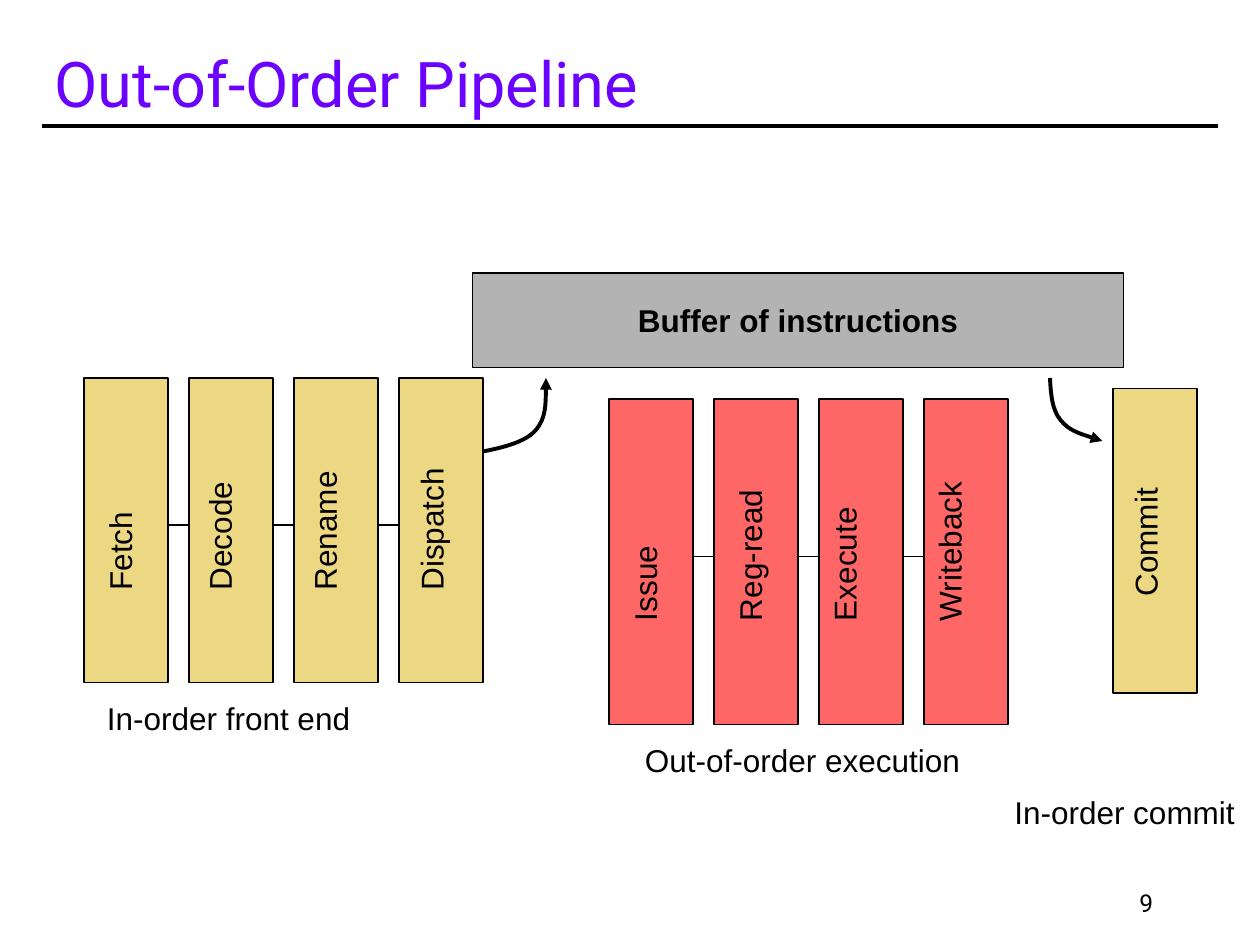
from lxml import etree
from pptx import Presentation
from pptx.dml.color import RGBColor
from pptx.enum.shapes import MSO_CONNECTOR, MSO_SHAPE
from pptx.enum.text import MSO_ANCHOR as ANCHOR, PP_ALIGN as ALIGN
from pptx.oxml.ns import qn
from pptx.util import Pt

COLORS = {
    "title": "6B02FF",
    "ink": "000000",
    "in_order": "ECD882",
    "out_of_order": "FF6666",
    "buffer": "B3B3B3",
}
STAGE_WIDTH, STAGE_PITCH = 48, 60
LABEL_HEIGHT = 36


def write(shape, text, size=18, font="Arial", color="ink", bold=False,
          align=ALIGN.LEFT, anchor=ANCHOR.TOP):
    frame = shape.text_frame
    frame.word_wrap = True
    frame.vertical_anchor = anchor
    paragraph = frame.paragraphs[0]
    paragraph.alignment = align
    run = paragraph.add_run()
    run.text = text
    run.font.size = Pt(size)
    run.font.name = font
    run.font.bold = bold
    run.font.color.rgb = RGBColor.from_string(COLORS[color])


def draw_line(x1, y1, x2, y2, width):
    line = slide.shapes.add_connector(
        MSO_CONNECTOR.STRAIGHT, Pt(x1), Pt(y1), Pt(x2), Pt(y2))
    line.line.width = Pt(width)
    line.line.color.rgb = RGBColor.from_string(COLORS["ink"])
    etree.SubElement(line._element.spPr, qn("a:effectLst"))


presentation = Presentation()
presentation.slide_width, presentation.slide_height = Pt(720), Pt(540)
slide = presentation.slides.add_slide(presentation.slide_layouts[6])

# Title, rule and slide number
draw_line(24, 72, 696, 72, 2.25)
title = slide.shapes.add_textbox(Pt(24), Pt(18), Pt(630), Pt(54))
write(title, "Out-of-Order Pipeline", 36, "Roboto", "title", anchor=ANCHOR.BOTTOM)
number = slide.shapes.add_textbox(Pt(516), Pt(504), Pt(150), Pt(24))
write(number, "9", 14, "Roboto", align=ALIGN.RIGHT, anchor=ANCHOR.BOTTOM)

# Stage groups: left, top, height, fill, link y, label bottom,
# then each stage's name, label length and label offset from the bar's centre
groups = [
    (48, 216, 174, "in_order", 300, 344.5,
     [("Fetch", 74, 0), ("Decode", 97, -3), ("Rename", 105, -3), ("Dispatch", 108, -2)]),
    (348, 228, 186, "out_of_order", 318, 362,
     [("Issue", 72, 0), ("Reg-read", 114.5, 0), ("Execute", 101.5, -6), ("Writeback", 121, -6)]),
    (636, 222, 174, "in_order", 306, 348, [("Commit", 97, -2)]),
]
for left, top, height, fill, link_y, label_bottom, stages in groups:
    for index, (name, length, offset) in enumerate(stages):
        x = left + index * STAGE_PITCH
        bar = slide.shapes.add_shape(
            MSO_SHAPE.RECTANGLE, Pt(x), Pt(top), Pt(STAGE_WIDTH), Pt(height))
        bar.shadow.inherit = False
        bar.fill.solid()
        bar.fill.fore_color.rgb = RGBColor.from_string(COLORS[fill])
        bar.line.width = Pt(0.75)
        bar.line.color.rgb = RGBColor.from_string(COLORS["ink"])

        center_x = x + STAGE_WIDTH / 2 + offset
        center_y = label_bottom - length / 2
        label = slide.shapes.add_textbox(
            Pt(center_x - length / 2), Pt(center_y - LABEL_HEIGHT / 2),
            Pt(length), Pt(LABEL_HEIGHT))
        label.rotation = 270
        write(label, name)
        if index:
            draw_line(x - STAGE_PITCH + STAGE_WIDTH, link_y, x, link_y, 0.75)

# Instruction buffer
buffer = slide.shapes.add_shape(
    MSO_SHAPE.RECTANGLE, Pt(270), Pt(156), Pt(372), Pt(54))
buffer.shadow.inherit = False
buffer.fill.solid()
buffer.fill.fore_color.rgb = RGBColor.from_string(COLORS["buffer"])
buffer.line.width = Pt(0.75)
buffer.line.color.rgb = RGBColor.from_string(COLORS["ink"])
write(buffer, "Buffer of instructions", bold=True, align=ALIGN.CENTER, anchor=ANCHOR.MIDDLE)

# Curved arrows into and out of the buffer: a start, then Bezier points in threes
curves = [
    [(276, 258), (288, 255.6), (300, 252.7), (306, 246), (312, 239), (312, 227.5), (312, 216)],
    [(600, 216), (600.5, 224.6), (601, 234), (606, 240), (611, 246.2), (620.6, 249), (630, 252)],
]
for start, *points in curves:
    builder = slide.shapes.build_freeform(Pt(start[0]), Pt(start[1]))
    builder.add_line_segments([(Pt(x), Pt(y)) for x, y in points], close=False)
    arrow = builder.convert_to_shape()
    arrow.shadow.inherit = False
    arrow.fill.background()
    arrow.line.width = Pt(2.25)
    arrow.line.color.rgb = RGBColor.from_string(COLORS["ink"])
    etree.SubElement(arrow.line._get_or_add_ln(), qn("a:tailEnd"), type="triangle")
    # Turn every three straight segments into one cubic segment
    segments = list(arrow._element.iter(qn("a:lnTo")))
    outline = segments[0].getparent()
    for first in range(0, len(segments), 3):
        cubic = etree.SubElement(outline, qn("a:cubicBezTo"))
        for segment in segments[first:first + 3]:
            cubic.append(segment[0])
            outline.remove(segment)

# Captions
for text, left, top, width in [
    ("In-order front end", 54, 396, 155),
    ("Out-of-order execution", 361.5, 420, 196.5),
    ("In-order commit", 572.5, 449.5, 142),
]:
    caption = slide.shapes.add_textbox(Pt(left), Pt(top), Pt(width), Pt(29))
    write(caption, text)

presentation.save("out.pptx")
